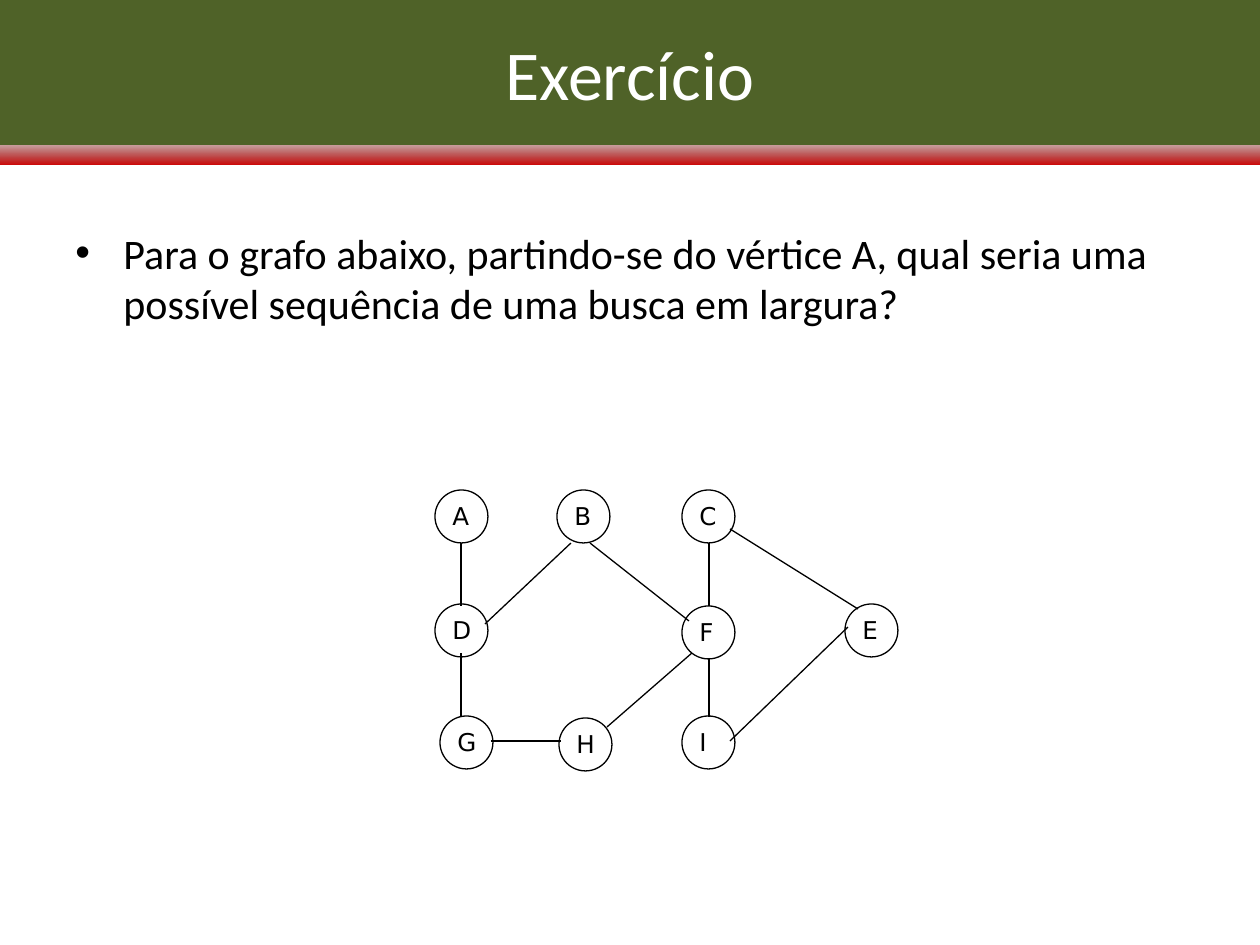
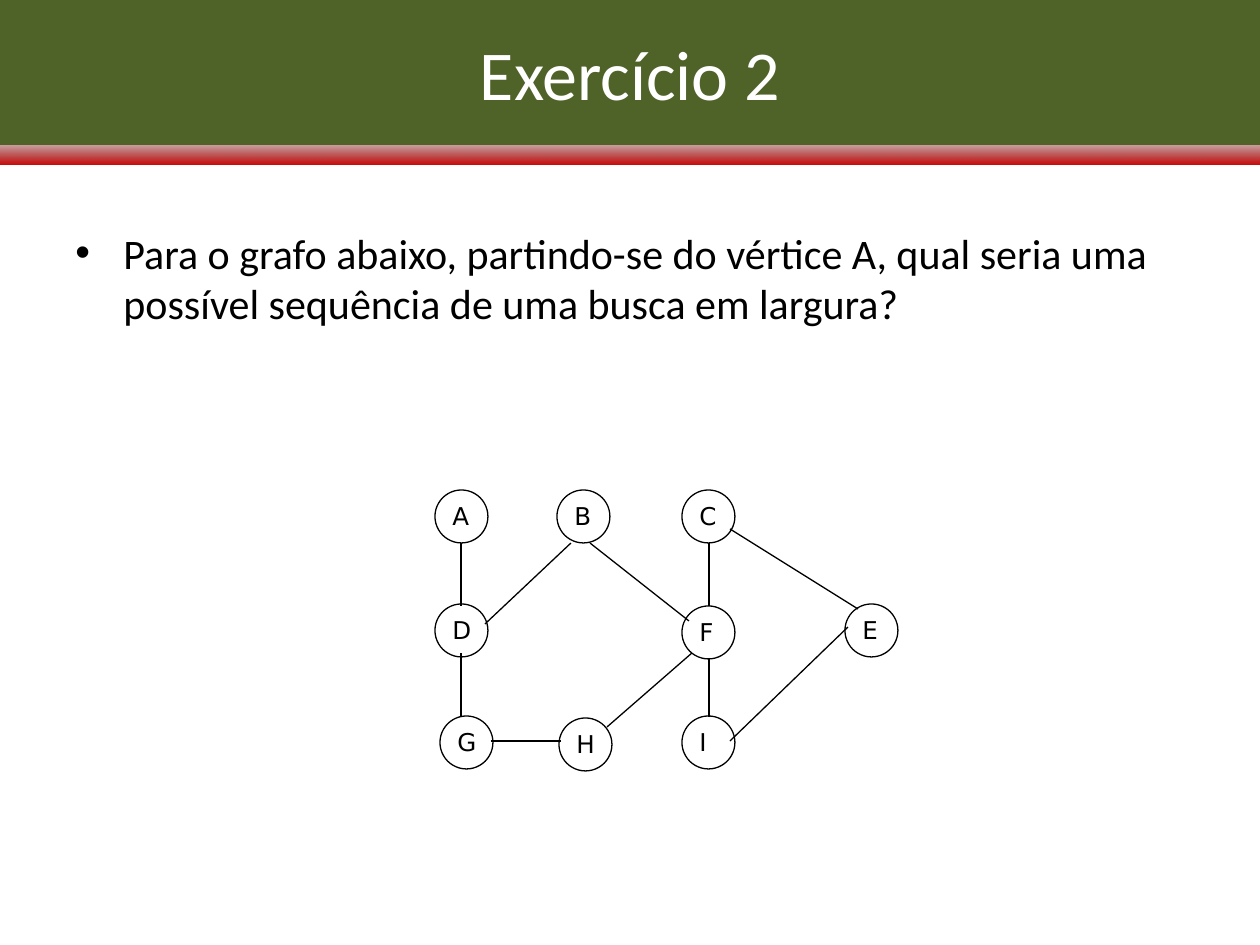
import dataclasses

import lxml.etree
import pptx
import pptx.dml.color
import pptx.enum.shapes
import pptx.enum.text
import pptx.oxml.ns
import pptx.util

PX = 914400 / 126
SHAPE = pptx.enum.shapes.MSO_SHAPE


@dataclasses.dataclass(frozen=True)
class Theme:
    """Colours, fonts and sizes shared by the slides."""
    title_band: str = "4F6228"
    stripe_start: str = "5E0000"
    stripe_end: str = "CC0000"
    light: str = "FFFFFF"
    ink: str = "000000"
    font: str = "Calibri"
    vertex_font: str = "DejaVu Sans"
    title_size: int = 40
    question_size: int = 24
    vertex_size: int = 14
    line_width: float = 0.75


THEME = Theme()
SLIDE_SIZE = (1260, 945)
TITLE_BOX = (0, 0, 1260, 145)
STRIPE_BOX = (-1, 141, 1261, 24)
QUESTION_BOX = (63, 221, 1134, 624)
GRAPH_BOX = (435, 490, 463, 281)

TITLES = ("Exercício", "Exercício 2")
QUESTION = ("Para o grafo abaixo, partindo-se do vértice A, qual seria uma "
            "possível sequência de uma busca em largura?")
VERTEX_DIAMETER = 53
VERTICES = {
    "A": (0, 0), "B": (122, 0), "H": (124, 228), "G": (5, 226), "D": (0, 114),
    "E": (410, 114), "I": (247, 226), "F": (247, 116), "C": (247, 0),
}
EDGES = (
    (26, 53, 26, 116), (26, 163, 26, 226), (50, 134, 136, 53),
    (155, 53, 254, 131), (274, 53, 274, 116), (274, 168, 274, 227),
    (56, 251, 126, 251), (257, 163, 172, 237), (295, 251, 413, 137),
    (295, 39, 423, 119),
)


def emu(*lengths):
    """Turn px lengths into EMU."""
    return [pptx.util.Emu(round(length * PX)) for length in lengths]


def rgb(code):
    """Return the colour for a hex code."""
    return pptx.dml.color.RGBColor.from_string(code)


def add_element(parent, tag, **attributes):
    """Append a drawing element with the given attributes."""
    return lxml.etree.SubElement(parent, pptx.oxml.ns.qn(tag), attributes)


def write(paragraph, text, font, size, colour):
    """Add one formatted run to a paragraph."""
    run = paragraph.add_run()
    run.text = text
    run.font.name = font
    run.font.size = pptx.util.Pt(size)
    run.font.color.rgb = rgb(colour)


def stroke(line):
    """Give an outline or edge the thin ink line."""
    line.color.rgb = rgb(THEME.ink)
    line.width = pptx.util.Pt(THEME.line_width)


def add_plain_shape(shapes, kind, box):
    """Add a preset shape without shadow or outline."""
    shape = shapes.add_shape(kind, *emu(*box))
    shape.shadow.inherit = False
    shape.line.fill.background()
    return shape


def add_stripe(slide, box):
    """Draw the red gradient stripe below the title."""
    fill = add_plain_shape(slide.shapes, SHAPE.RECTANGLE, box).fill
    fill.gradient()
    fill.gradient_angle = 270
    start, end = fill.gradient_stops
    start.position, end.position = 0, 1
    start.color.rgb = rgb(THEME.stripe_start)
    end.color.rgb = rgb(THEME.stripe_end)
    start_colour = next(fill._xPr.iter(pptx.oxml.ns.qn("a:srgbClr")))
    add_element(start_colour, "a:alpha", val="21000")


def add_title(slide, box, text):
    """Draw the green title band with its centred title."""
    band = add_plain_shape(slide.shapes, SHAPE.RECTANGLE, box)
    band.fill.solid()
    band.fill.fore_color.rgb = rgb(THEME.title_band)
    frame = band.text_frame
    frame.vertical_anchor = pptx.enum.text.MSO_ANCHOR.MIDDLE
    title = frame.paragraphs[0]
    title.alignment = pptx.enum.text.PP_ALIGN.CENTER
    write(title, text, THEME.font, THEME.title_size, THEME.light)


def add_question(slide, box, text):
    """Write the bulleted question."""
    frame = slide.shapes.add_textbox(*emu(*box)).text_frame
    frame.word_wrap = True
    question = frame.paragraphs[0]
    properties = question._p.get_or_add_pPr()
    indent, = emu(48)
    properties.set("marL", str(indent))
    properties.set("indent", str(-indent))
    bullet_colour = add_element(properties, "a:buClr")
    add_element(bullet_colour, "a:srgbClr", val=THEME.ink)
    add_element(properties, "a:buFont", typeface="Arial")
    add_element(properties, "a:buChar", char="•")
    write(question, text, THEME.font, THEME.question_size, THEME.ink)


def add_vertex(slide, left, top, letter):
    """Group a letter with the circle around it."""
    vertex = slide.shapes.add_group_shape().shapes
    label = vertex.add_textbox(*emu(left + 5, top + 5, 42, 43)).text_frame
    label.word_wrap = True
    write(label.paragraphs[0], letter, THEME.vertex_font,
          THEME.vertex_size, THEME.ink)
    circle = add_plain_shape(
        vertex, SHAPE.OVAL, (left, top, VERTEX_DIAMETER, VERTEX_DIAMETER))
    circle.fill.background()
    stroke(circle.line)


def add_graph(slide, box):
    """Draw the vertices and edges of the graph inside a box."""
    left, top = box[:2]
    for letter, (x, y) in VERTICES.items():
        add_vertex(slide, left + x, top + y, letter)
    for x1, y1, x2, y2 in EDGES:
        edge = slide.shapes.add_connector(
            pptx.enum.shapes.MSO_CONNECTOR.STRAIGHT,
            *emu(left + x1, top + y1, left + x2, top + y2))
        stroke(edge.line)
        add_element(edge._element.spPr, "a:effectLst")


def add_exercise(deck, title):
    """Add one exercise slide."""
    slide = deck.slides.add_slide(deck.slide_layouts[6])
    add_stripe(slide, STRIPE_BOX)
    add_title(slide, TITLE_BOX, title)
    add_question(slide, QUESTION_BOX, QUESTION)
    add_graph(slide, GRAPH_BOX)


def main():
    """Build and save the deck."""
    deck = pptx.Presentation()
    deck.slide_width, deck.slide_height = emu(*SLIDE_SIZE)
    for title in TITLES:
        add_exercise(deck, title)
    deck.save("out.pptx")


if __name__ == "__main__":
    main()
